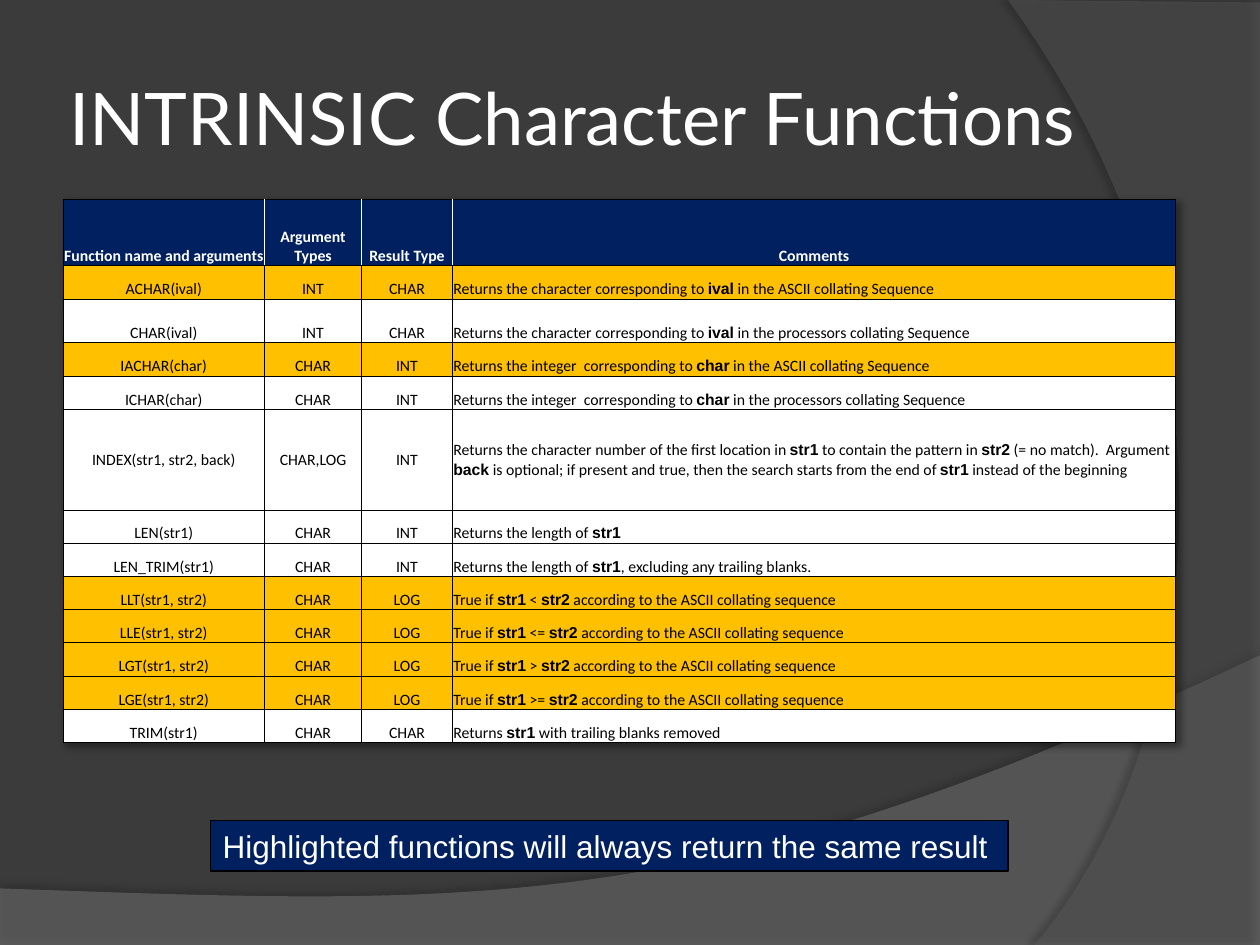
"""Build a slide that tabulates the intrinsic character functions."""
from dataclasses import dataclass

from lxml.etree import SubElement
from pptx import Presentation
from pptx.dml.color import RGBColor
from pptx.enum.text import MSO_ANCHOR as Anchor, PP_ALIGN as Align
from pptx.oxml import parse_xml
from pptx.oxml.ns import nsdecls, qn
from pptx.util import Cm, Pt

NAVY, AMBER, WHITE, BLACK = "002060", "FFC000", "FFFFFF", "000000"
COLUMN_WIDTHS = (4.06, 1.96, 1.83, 14.58)
HEADINGS = ("Function name and arguments", "Argument Types", "Result Type", "Comments")
CELL_FORMAT = {"margin_left": Cm(0.02), "margin_right": Cm(0.02),
               "margin_top": Cm(0.02), "margin_bottom": 0}


@dataclass
class Function:
    """One function; comment words between asterisks are bold."""
    name: str
    argument: str
    result: str
    comment: str
    highlighted: bool = False
    height: float = 0.67
    anchor: Anchor = Anchor.BOTTOM


@dataclass
class Shadow:
    """Outer shadow in percent, points and degrees."""
    opacity: int
    blur: float
    distance: float
    angle: int


@dataclass
class Wave:
    """Straight outline points, then a Bezier curve from the last of them."""
    corners: list
    curve: list
    fill: str
    opacity: int
    shadow: Shadow


def comparison(name: str, sign: str) -> Function:
    """Describe a lexical comparison function."""
    comment = f"True if *str1* {sign} *str2* according to the ASCII collating sequence"
    return Function(f"{name}(str1, str2)", "CHAR", "LOG", comment, True)


FROM_CODE = "Returns the character corresponding to *ival* in the "
TO_CODE = "Returns the integer  corresponding to *char* in the "
ASCII, PROCESSOR = "ASCII collating Sequence", "processors collating Sequence"
FUNCTIONS = [
    Function("ACHAR(ival)", "INT", "CHAR", FROM_CODE + ASCII, True),
    Function("CHAR(ival)", "INT", "CHAR", FROM_CODE + PROCESSOR, height=0.88),
    Function("IACHAR(char)", "CHAR", "INT", TO_CODE + ASCII, True),
    Function("ICHAR(char)", "CHAR", "INT", TO_CODE + PROCESSOR),
    Function("INDEX(str1, str2, back)", "CHAR,LOG", "INT",
             "Returns the character number of the first location in *str1* to contain "
             "the pattern in *str2* (= no match).  Argument *back* is optional; if present "
             "and true, then the search starts from the end of *str1* instead of the beginning",
             height=2.03, anchor=Anchor.MIDDLE),
    Function("LEN(str1)", "CHAR", "INT", "Returns the length of *str1*"),
    Function("LEN_TRIM(str1)", "CHAR", "INT",
             "Returns the length of *str1*, excluding any trailing blanks."),
    comparison("LLT", "<"),
    comparison("LLE", "<="),
    comparison("LGT", ">"),
    comparison("LGE", ">="),
    Function("TRIM(str1)", "CHAR", "CHAR", "Returns *str1* with trailing blanks removed"),
]
WAVES = [
    Wave([(25.4, 13.21), (25.4, 19.05), (0, 19.05), (0, 17.91)],
         [(9.93, 18.26), (14.2, 18.52), (25.4, 13.21)], "7F7F7F", 45, Shadow(35, 4, 3.5, 270)),
    Wave([(25.4, 0.05), (25.4, 19.05), (20.85, 19.05)],
         [(23.75, 15.72), (25.86, 7.62), (20.32, 0)], "5E5E5E", 40, Shadow(45, 4, 4, 180)),
]


def color(value: str) -> RGBColor:
    """Turn a hex string into a colour."""
    return RGBColor.from_string(value)


def paint(fill, value: str) -> None:
    """Give a fill one solid colour."""
    fill.solid()
    fill.fore_color.rgb = color(value)


def apply(target, values: dict) -> None:
    """Set each named attribute of the target."""
    for name, value in values.items():
        setattr(target, name, value)


def add_span(para, text: str, size: float, font: str, ink: str, bold: bool = False) -> None:
    """Append a formatted run to a paragraph."""
    span = para.add_run()
    span.text = text
    apply(span.font, {"size": Pt(size), "name": font, "bold": bold})
    span.font.color.rgb = color(ink)


def effect_list(shadow: Shadow):
    """Make the effect list that holds a shadow."""
    return parse_xml(
        f'<a:effectLst {nsdecls("a")}><a:outerShdw blurRad="{Pt(shadow.blur)}" '
        f'dist="{Pt(shadow.distance)}" dir="{shadow.angle * 60000}" algn="ctr" rotWithShape="0">'
        f'<a:srgbClr val="{BLACK}"><a:alpha val="{shadow.opacity * 1000}"/></a:srgbClr>'
        '</a:outerShdw></a:effectLst>')


def bezier(points: list, steps: int = 48) -> list:
    """Sample a cubic curve after its first point."""
    samples = []
    for step in range(1, steps + 1):
        t = step / steps
        weights = ((1 - t) ** 3, 3 * t * (1 - t) ** 2, 3 * t * t * (1 - t), t ** 3)
        samples.append(tuple(sum(w * p[axis] for w, p in zip(weights, points))
                             for axis in (0, 1)))
    return samples


def add_wave(page, wave: Wave) -> None:
    """Draw a translucent wave behind the title."""
    outline = wave.corners + bezier([wave.corners[-1], *wave.curve])
    points = [(Cm(x), Cm(y)) for x, y in outline]
    builder = page.shapes.build_freeform(*points[0])
    builder.add_line_segments(points[1:], close=True)
    shape = builder.convert_to_shape()
    paint(shape.fill, wave.fill)
    shape.line.fill.background()
    properties = shape.element.spPr
    tint = properties.find(".//" + qn("a:srgbClr"))
    SubElement(tint, qn("a:alpha"), val=str(wave.opacity * 1000))
    properties.append(effect_list(wave.shadow))
    page.shapes.title.element.addprevious(shape.element)


def add_borders(cell, sides: dict) -> None:
    """Draw the cell's borders in the given colours."""
    for index, (side, ink) in enumerate(sides.items()):
        cell._tc.get_or_add_tcPr().insert(index, parse_xml(
            f'<a:ln{side} {nsdecls("a")} w="{Pt(0.5)}"><a:solidFill>'
            f'<a:srgbClr val="{ink}"/></a:solidFill></a:ln{side}>'))


def fill_row(cells, texts: tuple, fill: str, anchor: Anchor, header: bool = False) -> None:
    """Write and format one row of the table."""
    last = len(texts) - 1
    inner = WHITE if header else BLACK
    for index, (cell, text) in enumerate(zip(cells, texts)):
        apply(cell, {**CELL_FORMAT, "vertical_anchor": anchor})
        paint(cell.fill, fill)
        add_borders(cell, {"L": inner if index else BLACK,
                           "R": inner if index < last else BLACK, "T": BLACK, "B": BLACK})
        para = cell.text_frame.paragraphs[0]
        para.alignment = Align.CENTER if header or index < last else Align.LEFT
        for part, words in enumerate(text.split("*")):
            if words:
                strong = part % 2 == 1
                add_span(para, words, 9, "Arial" if strong else "Calibri",
                         inner, header or strong)


def add_function_table(page) -> None:
    """Add the table of functions."""
    heights = [1.35] + [function.height for function in FUNCTIONS]
    frame = page.shapes.add_table(len(heights), len(COLUMN_WIDTHS), Cm(1.27), Cm(4.01),
                                  Cm(sum(COLUMN_WIDTHS)), Cm(sum(heights)))
    table = frame.table
    table._tbl.tblPr.insert(0, effect_list(Shadow(40, 4, 3, 45)))
    for column, width in zip(table.columns, COLUMN_WIDTHS):
        column.width = Cm(width)
    for row, height in zip(table.rows, heights):
        row.height = Cm(height)
    header, *body = table.rows
    fill_row(header.cells, HEADINGS, NAVY, Anchor.BOTTOM, header=True)
    for row, item in zip(body, FUNCTIONS):
        fill_row(row.cells, (item.name, item.argument, item.result, item.comment),
                 AMBER if item.highlighted else WHITE, item.anchor)


def main() -> None:
    """Build and save the deck."""
    deck = Presentation()
    apply(deck, {"slide_width": Cm(25.4), "slide_height": Cm(19.05)})
    page = deck.slides.add_slide(deck.slide_layouts[5])
    paint(page.background.fill, "3B3B3B")
    for wave in WAVES:
        add_wave(page, wave)

    title = page.shapes.title
    apply(title, {"left": Cm(1.27), "top": Cm(0.76), "width": Cm(20.75), "height": Cm(3.18)})
    margins = dict.fromkeys(("margin_left", "margin_right", "margin_top", "margin_bottom"),
                            Cm(0.13))
    apply(title.text_frame, {**margins, "vertical_anchor": Anchor.MIDDLE, "word_wrap": True})
    para = title.text_frame.paragraphs[0]
    para.alignment = Align.LEFT
    add_span(para, "INTRINSIC Character Functions", 41.4, "Lato", WHITE)

    add_function_table(page)

    box = page.shapes.add_textbox(Cm(4.24), Cm(16.54), Cm(16.08), Cm(1.02))
    paint(box.fill, NAVY)
    paint(box.line.fill, BLACK)
    box.line.width = Pt(0.75)
    box.text_frame.word_wrap = False
    add_span(box.text_frame.paragraphs[0],
             "Highlighted functions will always return the same result", 18, "Arial", WHITE)
    deck.save("out.pptx")


if __name__ == "__main__":
    main()
